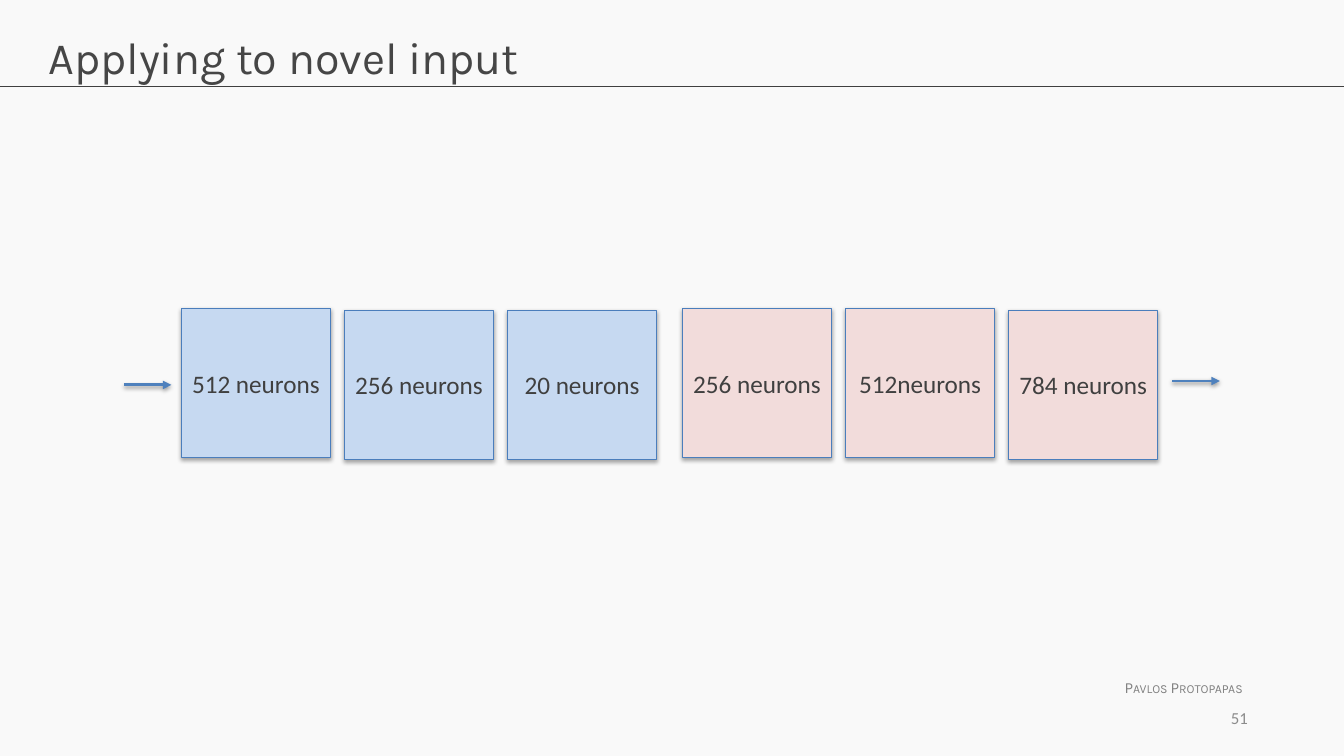
import lxml.etree
import pptx
import pptx.dml.color
import pptx.enum.shapes
import pptx.enum.text
import pptx.oxml
import pptx.oxml.ns
import pptx.util

Cm, Pt = pptx.util.Cm, pptx.util.Pt
ALIGN = pptx.enum.text.PP_ALIGN
ANCHOR = pptx.enum.text.MSO_ANCHOR
COLOURS = {
    "background": "F9F9F9", "rule": "404040", "title": "464646",
    "author": "808080", "number": "8C8C8C", "label": "404040",
    "encoder": "C6D9F1", "decoder": "F2DCDB",
    "outline": "4B7EBC", "arrow": "4F81BD",
}


def colour(name):
    return pptx.dml.color.RGBColor.from_string(COLOURS[name])


class SlideBuilder:
    """Holds the style and the current slide."""

    def __init__(self, deck):
        self.page = deck.slides.add_slide(deck.slide_layouts[5])
        self.page.background.fill.solid()
        self.page.background.fill.fore_color.rgb = colour("background")

    def fill_text(self, shape, text, font, size, ink, align=ALIGN.LEFT,
                  anchor=ANCHOR.TOP, wrap=True, side=0.25):
        frame = shape.text_frame
        frame_format = {
            "word_wrap": wrap, "vertical_anchor": anchor,
            "auto_size": pptx.enum.text.MSO_AUTO_SIZE.NONE,
            "margin_left": Cm(side), "margin_right": Cm(side),
            "margin_top": Cm(0.13), "margin_bottom": Cm(0.13),
        }
        for name, value in frame_format.items():
            setattr(frame, name, value)
        para = frame.paragraphs[0]
        para.alignment = align
        span = para.add_run()
        span.text = text
        for name, value in {"name": font, "size": Pt(size), "bold": False}.items():
            setattr(span.font, name, value)
        span.font.color.rgb = colour(ink)
        return span

    def effects(self, shape, shadow=None):
        """Gives a shape a soft shadow below it, or none at all."""
        namespace = pptx.oxml.ns.nsdecls("a")
        effect_list = pptx.oxml.parse_xml(f"<a:effectLst {namespace}/>")
        if shadow:
            opacity, blur, distance = shadow
            effect_list.append(pptx.oxml.parse_xml(
                f'<a:outerShdw {namespace} blurRad="{Pt(blur)}" dist="{Pt(distance)}" '
                f'dir="5400000" rotWithShape="0"><a:srgbClr val="000000">'
                f'<a:alpha val="{opacity * 1000}"/></a:srgbClr></a:outerShdw>'))
        shape._element.spPr.append(effect_list)

    def title(self, text, left, top, width, height):
        box = self.page.shapes.title
        place = {"left": left, "top": top, "width": width, "height": height}
        for name, value in place.items():
            setattr(box, name, Cm(value))
        self.fill_text(box, text, "Karla", 32, "title")

    def text(self, text, left, top, width, height, **style):
        box = self.page.shapes.add_textbox(Cm(left), Cm(top), Cm(width), Cm(height))
        return self.fill_text(box, text, **style)

    def line(self, left, right, y, ink, weight, arrow=False, shadow=None):
        line = self.page.shapes.add_connector(
            pptx.enum.shapes.MSO_CONNECTOR.STRAIGHT, Cm(left), Cm(y), Cm(right), Cm(y))
        line.line.color.rgb = colour(ink)
        line.line.width = Pt(weight)
        if arrow:
            lxml.etree.SubElement(line.line._get_or_add_ln(),
                                  pptx.oxml.ns.qn("a:tailEnd"), type="triangle")
        self.effects(line, shadow)

    def layer(self, text, left, top, side, fill):
        box = self.page.shapes.add_shape(
            pptx.enum.shapes.MSO_SHAPE.RECTANGLE, Cm(left), Cm(top), Cm(side), Cm(side))
        box.fill.solid()
        box.fill.fore_color.rgb = colour(fill)
        box.line.color.rgb = colour("outline")
        box.line.width = Pt(0.75)
        self.effects(box, (35, 3.1, 1.8))
        self.fill_text(box, text, "Calibri", 18, "label", ALIGN.CENTER,
                       ANCHOR.MIDDLE, side=0.13)


def main():
    deck = pptx.Presentation()
    deck.slide_width, deck.slide_height = Cm(33.87), Cm(19.05)
    slide = SlideBuilder(deck)

    # Header
    slide.line(0, 33.87, 2.19, "rule", 0.75)
    slide.title("Applying to novel input", 0.97, 0.61, 31.93, 2.13)

    # Footer
    author = slide.text("Pavlos Protopapas", 28.09, 16.97, 3.58, 0.74,
                        font="Karla", size=11, ink="author", wrap=False)
    author.font._element.set("cap", "small")
    slide.text("51", 23.8, 17.58, 7.9, 1.02, font="Calibri", size=12, ink="number",
               align=ALIGN.RIGHT, anchor=ANCHOR.MIDDLE)

    # Encoder and decoder layers: label and top
    high, low = 7.77, 7.82
    halves = [
        ("encoder", 4.57, [("512 neurons", high), ("256 neurons", low),
                           ("20 neurons", low)]),
        ("decoder", 17.2, [("256 neurons", high), ("512neurons", high),
                           ("784 neurons", low)]),
    ]
    for fill, start, layers in halves:
        for index, (label, top) in enumerate(layers):
            slide.layer(label, start + index * 4.11, top, 3.76, fill)

    # Input and output arrows
    for left, y in [(3.12, 9.7), (29.54, 9.6)]:
        slide.line(left, left + 1.2, y, "arrow", 2, arrow=True, shadow=(38, 3.1, 1.6))

    deck.save("out.pptx")


if __name__ == "__main__":
    main()
